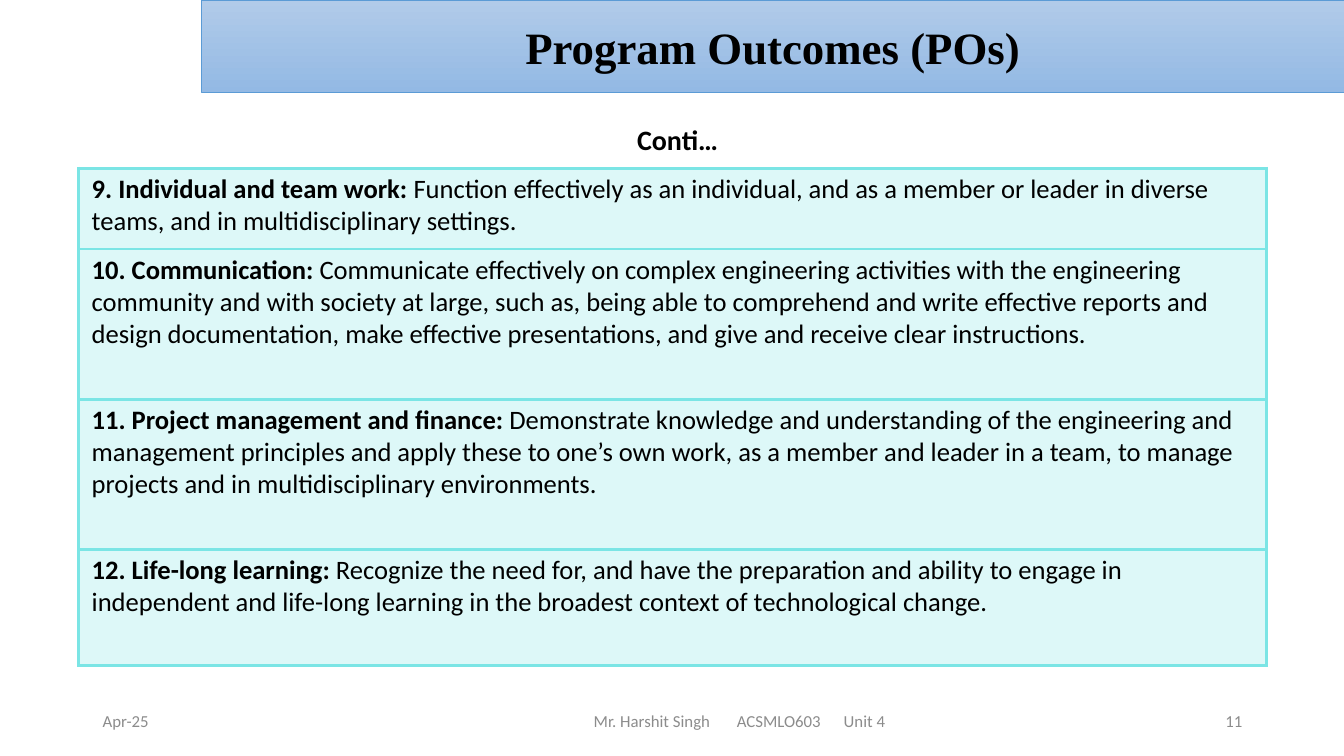
"""Build the program outcomes slide."""
from collections import namedtuple

from lxml import etree
from pptx import Presentation
from pptx import util as u
from pptx.dml.color import RGBColor
from pptx.enum import text
from pptx.oxml import ns

WIDTH, HEIGHT = 13.33, 7.5
Box = namedtuple("Box", "left top width height")
COLORS = {
    "ink": "000000", "muted": "8C8C8C", "aqua": "7BE5E5",
    "banner_top": "B1CBE9", "banner_bottom": "93B9E4", "banner_line": "5B9BD5",
}
ROW_SHARES = (0.8, 1.49, 1.49, 1.15)
OUTCOMES = [
    ("9. Individual and team work: ",
     "Function effectively as an individual, and as a member or leader in diverse teams, "
     "and in multidisciplinary settings."),
    ("10. Communication: ",
     "Communicate effectively on complex engineering activities with the engineering "
     "community and with society at large, such as, being able to comprehend and write "
     "effective reports and design documentation, make effective presentations, and give "
     "and receive clear instructions."),
    ("11. Project management and finance: ",
     "Demonstrate knowledge and understanding of the engineering and management principles "
     "and apply these to one’s own work, as a member and leader in a team, to manage "
     "projects and in multidisciplinary environments."),
    ("12. Life-long learning: ",
     "Recognize the need for, and have the preparation and ability to engage in independent "
     "and life-long learning in the broadest context of technological change."),
]


def color(name):
    """Return the named colour."""
    return RGBColor.from_string(COLORS[name])


def inches(box):
    """Return the box as four lengths."""
    return [u.Inches(length) for length in box]


def style(para, size, ink="ink", bold=False, face="Calibri", align=text.PP_ALIGN.LEFT):
    """Set the font and alignment of a paragraph."""
    para.alignment = align
    para.font.size, para.font.bold, para.font.name = u.Pt(size), bold, face
    para.font.color.rgb = color(ink)


def add_banner(page, box):
    """Turn the title placeholder into the gradient banner."""
    banner = page.shapes.title
    banner.left, banner.top, banner.width, banner.height = inches(box)
    banner.fill.gradient()
    banner.fill.gradient_angle = 270
    for stop, name in zip(banner.fill.gradient_stops, ("banner_top", "banner_bottom")):
        stop.color.rgb = color(name)
    banner.line.color.rgb = color("banner_line")
    banner.line.width = u.Pt(0.5)
    frame = banner.text_frame
    frame.text = "Program Outcomes (POs)"
    frame.auto_size = text.MSO_AUTO_SIZE.NONE
    frame.vertical_anchor = text.MSO_ANCHOR.MIDDLE
    style(frame.paragraphs[0], 32, bold=True, face="Times New Roman",
          align=text.PP_ALIGN.CENTER)


def add_label(page, box, words, tabs=(), wrap=True, anchor=text.MSO_ANCHOR.MIDDLE, **look):
    """Add one line of text with optional tab stops."""
    frame = page.shapes.add_textbox(*inches(box)).text_frame
    frame.word_wrap = wrap
    frame.vertical_anchor = anchor
    para = frame.paragraphs[0]
    para.text = words
    if tabs:
        stops = etree.SubElement(para._p.get_or_add_pPr(), ns.qn("a:tabLst"))
        for place in tabs:
            etree.SubElement(stops, ns.qn("a:tab"), pos=str(u.Inches(place)), algn="l")
    style(para, **look)


def paint_cell(cell):
    """Give a cell its borders and translucent fill."""
    props = cell._tc.get_or_add_tcPr()
    for side in "LRTB":
        line = etree.SubElement(props, ns.qn(f"a:ln{side}"), w=str(u.Pt(2.25)))
        paint = etree.SubElement(line, ns.qn("a:solidFill"))
        etree.SubElement(paint, ns.qn("a:srgbClr"), val=COLORS["aqua"])
    cell.fill.solid()
    cell.fill.fore_color.rgb = color("aqua")
    tint = props.find(f"{ns.qn('a:solidFill')}/{ns.qn('a:srgbClr')}")
    etree.SubElement(tint, ns.qn("a:alpha"), val="25000")


def add_outcomes(page, box):
    """Add the table with one outcome a row."""
    table = page.shapes.add_table(len(OUTCOMES), 1, *inches(box)).table
    table.first_row = table.horz_banding = False
    for index, (heading, detail) in enumerate(OUTCOMES):
        table.rows[index].height = u.Inches(box.height * ROW_SHARES[index] / sum(ROW_SHARES))
        cell = table.cell(index, 0)
        cell.margin_left = cell.margin_right = u.Inches(0.13)
        cell.margin_top = cell.margin_bottom = u.Inches(0.05)
        para = cell.text_frame.paragraphs[0]
        style(para, 19)
        for words, bold in ((heading, True), (detail, False)):
            span = para.add_run()
            span.text, span.font.bold = words, bold
        paint_cell(cell)


def add_footer(page, box):
    """Add the date, course line and page number."""
    side = 3
    look = {"size": 12, "ink": "muted"}
    add_label(page, box._replace(width=side), "Apr-25", **look)
    add_label(page, box._replace(left=box.left + 4.87, width=side + 0.2),
              "Mr. Harshit Singh\tACSMLO603\tUnit 4", tabs=(1.42, 2.48), **look)
    add_label(page, box._replace(left=box.left + box.width - side, width=side), "11",
              align=text.PP_ALIGN.RIGHT, **look)


def main():
    """Build and save the deck."""
    deck = Presentation()
    deck.slide_width, deck.slide_height = u.Inches(WIDTH), u.Inches(HEIGHT)
    page = deck.slides.add_slide(deck.slide_layouts[5])
    add_footer(page, Box(0.92, 6.95, 11.5, 0.4))
    add_outcomes(page, Box(0.78, 1.67, 11.78, 4.93))
    add_label(page, Box(6.22, 1.17, 1.01, 0.44), "Conti…", wrap=False,
              anchor=text.MSO_ANCHOR.TOP, size=20, bold=True)
    add_banner(page, Box(2, 0, WIDTH - 2, 0.92))
    deck.save("out.pptx")


if __name__ == "__main__":
    main()
